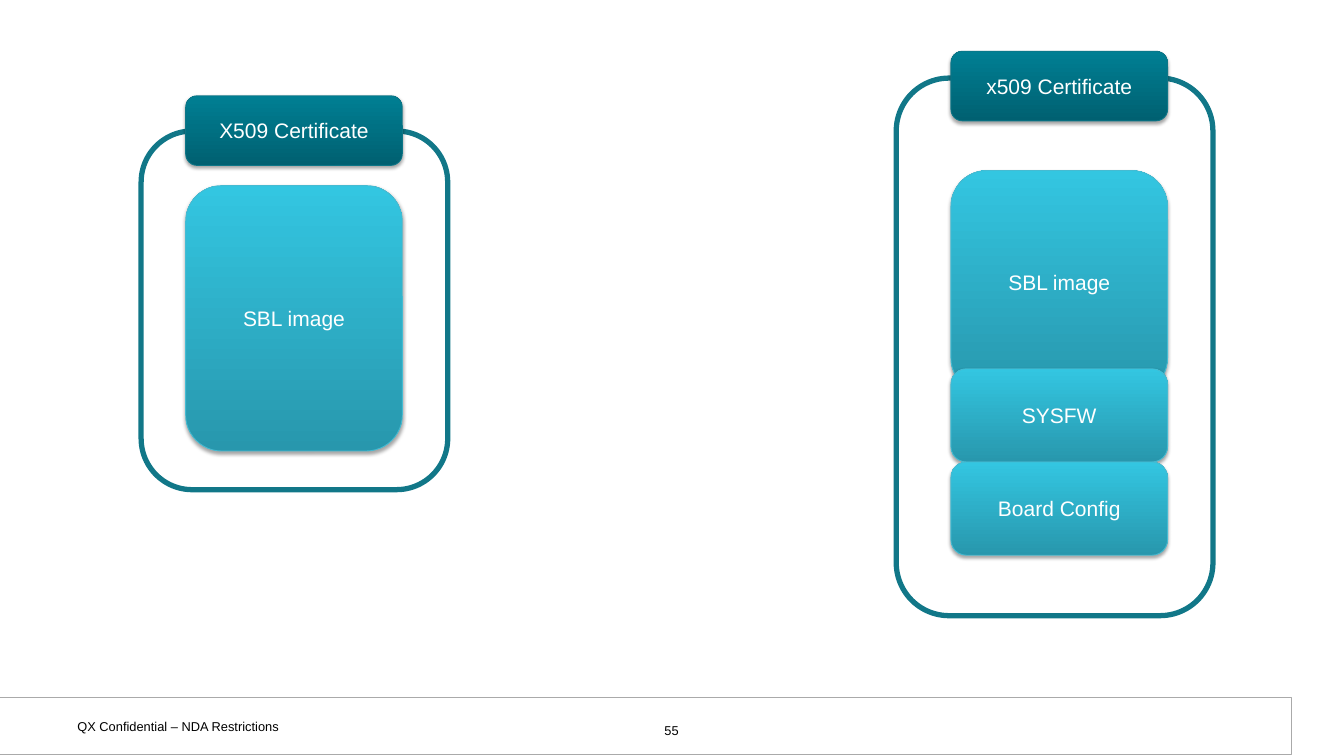
from dataclasses import dataclass

from lxml import etree
from pptx import Presentation
from pptx.dml.color import RGBColor
from pptx.enum.shapes import MSO_SHAPE
from pptx.enum.text import MSO_ANCHOR, PP_ALIGN
from pptx.oxml.ns import qn
from pptx.util import Inches, Pt

RECT, ROUND = MSO_SHAPE.RECTANGLE, MSO_SHAPE.ROUNDED_RECTANGLE
LEFT, CENTER = PP_ALIGN.LEFT, PP_ALIGN.CENTER
MIDDLE = MSO_ANCHOR.MIDDLE


@dataclass(frozen=True)
class Theme:
    font: str = "Arial"
    body: int = 18
    small: int = 11
    white: str = "FFFFFF"
    black: str = "000000"
    rule: str = "AAAAAA"
    frame: str = "117788"
    # bottom colour, top colour, outline
    cert: tuple = ("006071", "007F93", "0D7687")
    image: tuple = ("2897AD", "33C6E1", "45BBD2")


THEME = Theme()
WIDE, HIGH = 16, 9
BLOCK_W, CERT_H = 2.58, 0.83


def rgb(code):
    return RGBColor.from_string(code)


def write(shape, text, size, color, align):
    frame = shape.text_frame
    frame.word_wrap = True
    frame.text = text
    para = frame.paragraphs[0]
    para.alignment = align
    font = para.runs[0].font
    font.name, font.size = THEME.font, Pt(size)
    font.color.rgb = rgb(color)


def outline(slide, kind, box, color, width):
    shape = slide.shapes.add_shape(kind, *map(Inches, box))
    shape.shadow.inherit = False
    shape.fill.background()
    shape.line.color.rgb = rgb(color)
    shape.line.width = Pt(width)
    return shape


def cast(shape):
    """Give the shape a soft shadow straight below it."""
    effects = shape._element.spPr.find(qn("a:effectLst"))
    outer = etree.SubElement(effects, qn("a:outerShdw"), blurRad=str(Pt(3.1)),
                             dist=str(Pt(1.8)), dir="5400000", rotWithShape="0")
    color = etree.SubElement(outer, qn("a:srgbClr"), val=THEME.black)
    etree.SubElement(color, qn("a:alpha"), val="35000")


def block(slide, box, text, look):
    low, high, edge = look
    shape = outline(slide, ROUND, box, edge, 0.75)
    shape.fill.gradient()
    shape.fill.gradient_angle = 90
    for stop, color in zip(shape.fill.gradient_stops, (low, high)):
        stop.color.rgb = rgb(color)
    cast(shape)
    shape.text_frame.vertical_anchor = MIDDLE
    write(shape, text, THEME.body, THEME.white, CENTER)


def package(slide, box, inset, cert, parts):
    """Draw a frame, its parts as (text, offset, height), and its certificate."""
    left, top, _, _ = box
    outline(slide, ROUND, box, THEME.frame, 4.5)
    for text, down, tall in parts:
        block(slide, (left + inset, top + down, BLOCK_W, tall), text, THEME.image)
    text, down = cert
    block(slide, (left + inset, top + down, BLOCK_W, CERT_H), text, THEME.cert)


def label(slide, box, text, align):
    shape = slide.shapes.add_textbox(*map(Inches, box))
    frame = shape.text_frame
    frame.margin_left = frame.margin_right = Inches(0.13)
    frame.margin_top = frame.margin_bottom = Inches(0.07)
    write(shape, text, THEME.small, THEME.black, align)


def footer(slide, box):
    left, top, _, _ = box
    bar = outline(slide, RECT, box, THEME.rule, 0.75)
    bar.fill.solid()
    bar.fill.fore_color.rgb = rgb(THEME.white)
    label(slide, (left + 0.82, top + 0.18, 3.69, 0.31),
          "QX Confidential – NDA Restrictions", LEFT)
    label(slide, (left + 6.16, top + 0.23, 3.73, 0.27), "55", CENTER)


def main():
    deck = Presentation()
    deck.slide_width, deck.slide_height = Inches(WIDE), Inches(HIGH)
    slide = deck.slides.add_slide(deck.slide_layouts[6])
    footer(slide, (-0.03, 8.3, 15.4, 0.68))
    package(slide, (1.68, 1.56, 3.65, 4.27), 0.53,
            ("X509 Certificate", -0.42), [("SBL image", 0.65, 3.16)])
    package(slide, (10.67, 0.93, 3.77, 6.4), 0.65, ("x509 Certificate", -0.32),
            [("SBL image", 1.1, 2.66), ("SYSFW", 3.46, 1.11),
             ("Board Config", 4.57, 1.11)])
    deck.save("out.pptx")


if __name__ == "__main__":
    main()
